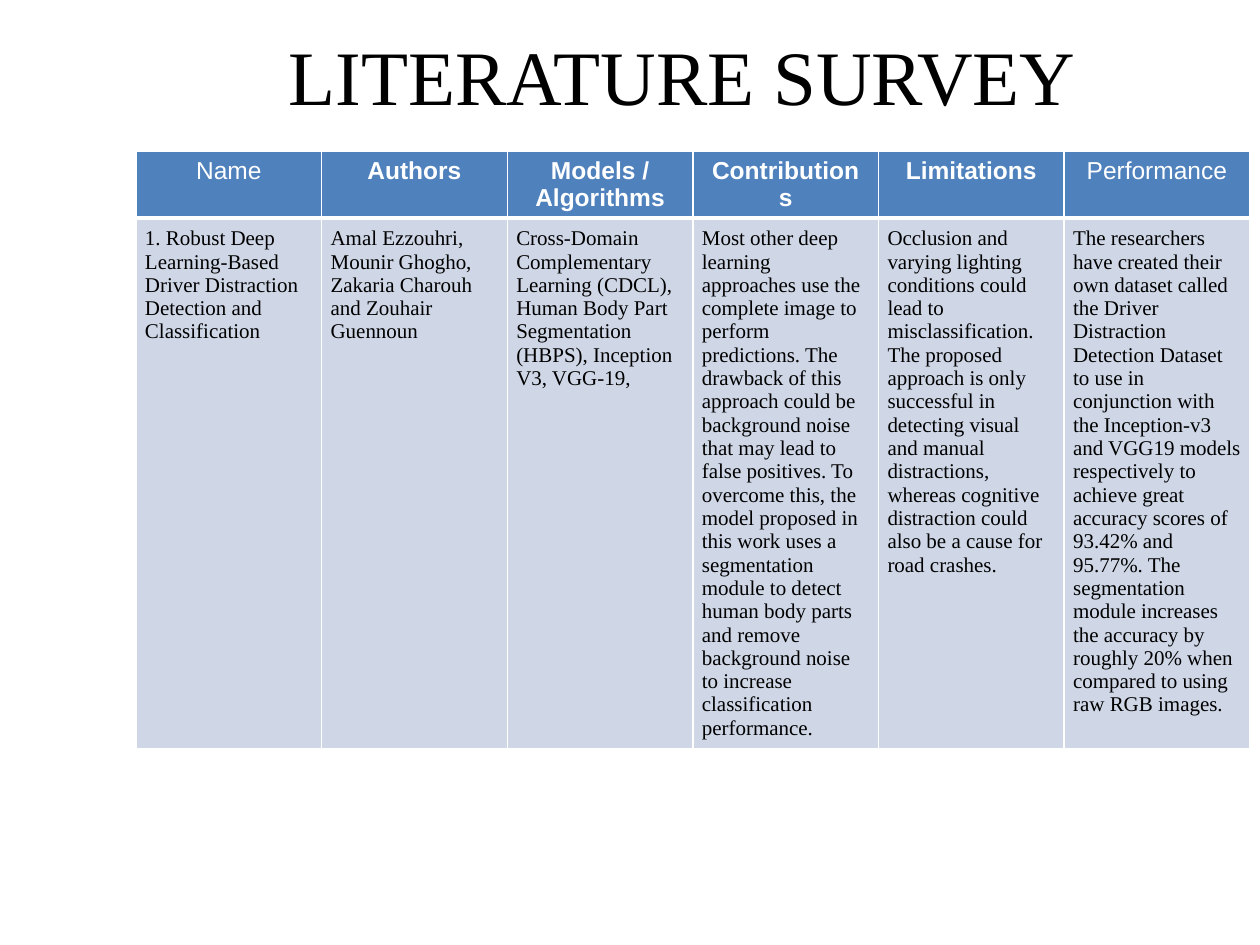
from lxml import etree
from pptx import Presentation
from pptx.dml.color import RGBColor
from pptx.enum.text import MSO_ANCHOR, MSO_AUTO_SIZE, PP_ALIGN
from pptx.oxml.ns import qn
from pptx.util import Pt

PX = 914400 / 126
CENTER, LEFT = PP_ALIGN.CENTER, PP_ALIGN.LEFT
BOTTOM = MSO_ANCHOR.BOTTOM
NO_AUTOFIT = MSO_AUTO_SIZE.NONE
TITLE_ONLY = 5
WHITE, BLACK, BLUE, PALE_BLUE = "FFFFFF", "000000", "4F81BD", "CFD7E7"
SERIF, SANS = "Times New Roman", "Arial"

TITLE_FONT = {"name": SERIF, "size": Pt(44), "bold": False}
HEADER_FONT = {"name": SANS, "size": Pt(14)}
BODY_FONT = {"name": SERIF, "size": Pt(12), "bold": False}
HEADERS = ["Name", "Authors", "Models / Algorithms", "Contributions",
           "Limitations", "Performance"]
PLAIN_HEADERS = {"Name", "Performance"}
SURVEY = [
    "1. Robust Deep Learning-Based Driver Distraction\n"
    "Detection and Classification",
    "Amal Ezzouhri, Mounir Ghogho, Zakaria Charouh and Zouhair Guennoun",
    "Cross-Domain Complementary Learning (CDCL), Human Body Part "
    "Segmentation (HBPS), Inception V3, VGG-19,",
    "Most other deep learning approaches use the complete image to perform "
    "predictions. The drawback of this approach could be background noise "
    "that may lead to false positives. To overcome this, the model proposed "
    "in this work uses a segmentation module to detect human body parts and "
    "remove background noise to increase classification performance.",
    "Occlusion and varying lighting conditions could lead to "
    "misclassification. The proposed approach is only successful in "
    "detecting visual and manual distractions, whereas cognitive "
    "distraction could also be a cause for road crashes.",
    "The researchers have created their own dataset called the Driver "
    "Distraction Detection Dataset to use in conjunction with the "
    "Inception-v3 and VGG19 models respectively to achieve great accuracy "
    "scores of 93.42% and 95.77%. The segmentation module increases the "
    "accuracy by roughly 20% when compared to using raw RGB images.",
]


def px(length):
    return round(length * PX)


def color(value):
    return RGBColor.from_string(value)


def set_attributes(target, values):
    for name, value in values.items():
        setattr(target, name, value)


def format_text(text_frame, text, font, font_color, alignment):
    text_frame.text = text
    for paragraph in text_frame.paragraphs:
        paragraph.alignment = alignment
        set_attributes(paragraph.font, font)
        paragraph.font.color.rgb = color(font_color)


def set_borders(cell, widths):
    properties = cell._tc.get_or_add_tcPr()
    for index, (side, width) in enumerate(widths.items()):
        line = etree.Element(qn(f"a:ln{side}"), w=str(Pt(width)))
        fill = etree.SubElement(line, qn("a:solidFill"))
        etree.SubElement(fill, qn("a:srgbClr"), val=WHITE)
        properties.insert(index, line)


def format_cell(cell, text, fill, font, font_color, alignment, margins, borders):
    format_text(cell.text_frame, text, font, font_color, alignment)
    horizontal, vertical = map(px, margins)
    set_attributes(cell, {"margin_left": horizontal, "margin_right": horizontal,
                          "margin_top": vertical, "margin_bottom": vertical})
    cell.fill.solid()
    cell.fill.fore_color.rgb = color(fill)
    set_borders(cell, borders)


def add_title(slide, left, top, width, height):
    title = slide.shapes.title
    set_attributes(title, {"left": px(left), "top": px(top),
                           "width": px(width), "height": px(height)})
    format_text(title.text_frame, "LITERATURE SURVEY", TITLE_FONT, BLACK, LEFT)
    set_attributes(title.text_frame, {"word_wrap": True, "auto_size": NO_AUTOFIT,
                                      "vertical_anchor": BOTTOM})


def add_survey_table(slide, left, top, width, height, header_height):
    table = slide.shapes.add_table(2, len(HEADERS), px(left), px(top),
                                   px(width), px(height)).table
    table.rows[0].height = px(header_height)
    table.rows[1].height = px(height - header_height)
    for index, (header, text) in enumerate(zip(HEADERS, SURVEY)):
        table.columns[index].width = px(width / len(HEADERS))
        header_font = HEADER_FONT | {"bold": header not in PLAIN_HEADERS}
        format_cell(table.cell(0, index), header, BLUE, header_font, WHITE,
                    CENTER, (13, 6), {"L": 1, "R": 1, "T": 1, "B": 3})
        format_cell(table.cell(1, index), text, PALE_BLUE, BODY_FONT, BLACK,
                    LEFT, (9, 9), {"L": 1, "R": 1, "T": 3, "B": 1})


def main():
    presentation = Presentation()
    presentation.slide_width, presentation.slide_height = px(1260), px(945)
    slide = presentation.slides.add_slide(presentation.slide_layouts[TITLE_ONLY])
    slide.background.fill.solid()
    slide.background.fill.fore_color.rgb = color(WHITE)
    add_survey_table(slide, 136, 151, 1114, 597, 67)
    add_title(slide, 276, 21, 835, 106)
    presentation.save("out.pptx")


if __name__ == "__main__":
    main()
